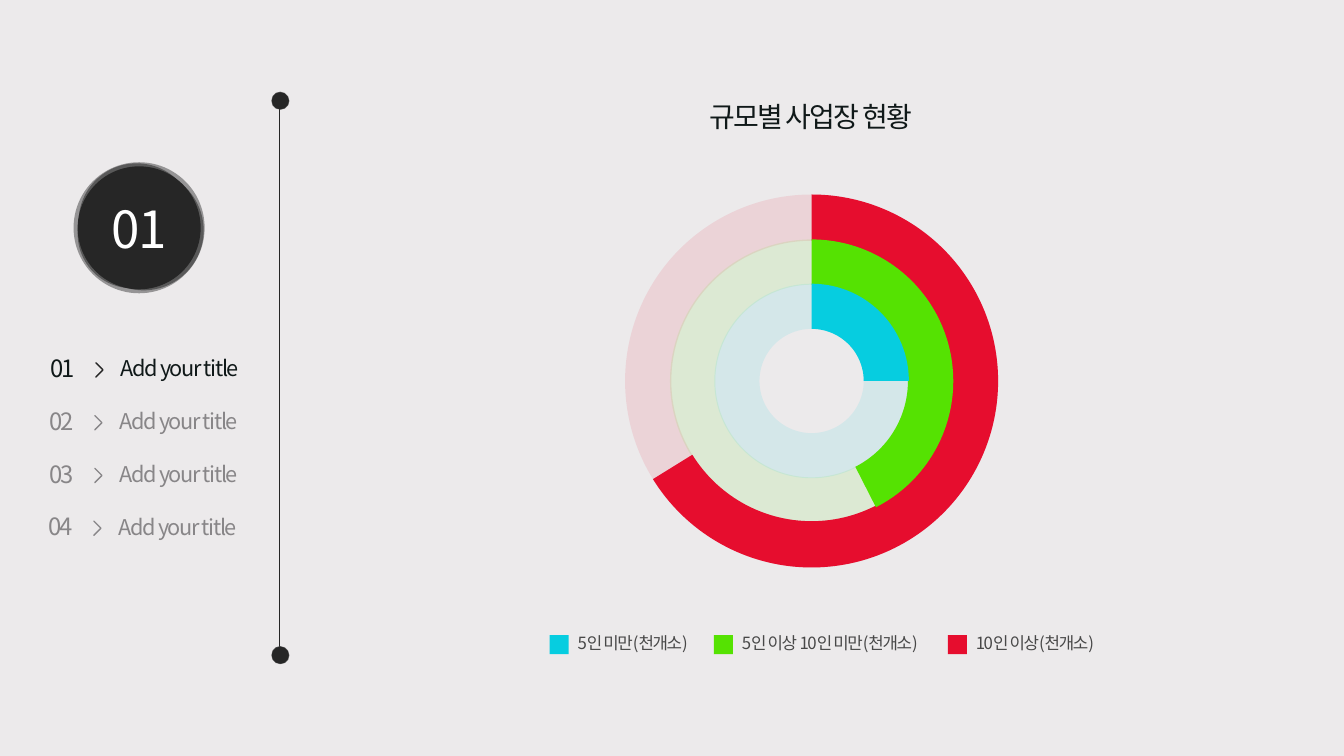
from lxml import etree
from pptx import Presentation
from pptx.dml.color import RGBColor
from pptx.enum.shapes import MSO_CONNECTOR, MSO_SHAPE
from pptx.enum.text import MSO_ANCHOR, PP_ALIGN
from pptx.oxml.ns import qn
from pptx.util import Inches, Pt

STRAIGHT = MSO_CONNECTOR.STRAIGHT
OVAL, RECT, CHEVRON = MSO_SHAPE.OVAL, MSO_SHAPE.RECTANGLE, MSO_SHAPE.HALF_FRAME
DONUT, ARC = MSO_SHAPE.DONUT, MSO_SHAPE.BLOCK_ARC
MIDDLE, LEFT, CENTER = MSO_ANCHOR.MIDDLE, PP_ALIGN.LEFT, PP_ALIGN.CENTER

FONT = "Noto Sans CJK KR"
BACK, DARK, HALO, INK, GREY, LABEL = "ECEAEB", "262626", "404040", "101919", "888688", "484848"
RED, GREEN, BLUE = "E60D2E", "55E202", "06CDE0"
DISC_SIZE = 1.3
HALOS = [(0, 0, 1.3, 50), (0.1, 0.08, 1.19, 70), (0.05, 0.01, 1.15, 70),
         (0.04, 0.17, 1.08, 70), (0.04, 0.04, 1.22, None)]
MENU = ["Add your title"] * 4
RINGS = [(RED, 3.7, 0.124, 148.25), (GREEN, 2.81, 0.16, 63), (BLUE, 1.93, 0.232, 0)]
LEGEND = [(BLUE, "5인 미만(천개소)", 0, 1.38), (GREEN, "5인 이상 10인 미만(천개소)", 1.63, 2.02),
          (RED, "10인 이상(천개소)", 3.95, 1.41)]


def rgb(value):
    """Turn a hex string into a colour."""
    return RGBColor.from_string(value)


def add_alpha(color, percent):
    """Make a colour element partly opaque."""
    etree.SubElement(color, qn("a:alpha"), val=str(percent * 1000))


def add_shape(s, kind, x, y, w, h, fill=None, alpha=None, line=None, adj=()):
    """Add a flat preset shape."""
    sp = s.shapes.add_shape(kind, Inches(x), Inches(y), Inches(w), Inches(h))
    sp.shadow.inherit = False
    for i, value in enumerate(adj):
        sp.adjustments[i] = value
    if fill:
        sp.fill.solid()
        sp.fill.fore_color.rgb = rgb(fill)
        if alpha:
            add_alpha(sp.fill._xPr.find(".//" + qn("a:srgbClr")), alpha)
    else:
        sp.fill.background()
    if line:
        sp.line.color.rgb = rgb(line)
        sp.line.width = Pt(1)
    else:
        sp.line.fill.background()
    return sp


def add_text(s, text, x, y, w, h, size, color, spacing, outline=True, align=LEFT, **layout):
    """Add one vertically centred line of text."""
    tf = s.shapes.add_textbox(Inches(x), Inches(y), Inches(w), Inches(h)).text_frame
    tf.word_wrap, tf.vertical_anchor = True, MIDDLE
    p = tf.paragraphs[0]
    for name, value in {"alignment": align, **layout}.items():
        setattr(p, name, value)
    r = p.add_run()
    r.text = text
    for name, value in {"size": Pt(size), "name": FONT}.items():
        setattr(r.font, name, value)
    r.font.color.rgb = rgb(color)
    props = r._r.get_or_add_rPr()
    props.set("spc", str(int(spacing * 100)))
    etree.SubElement(props, qn("a:ea"), typeface=FONT)
    if outline:
        ln = etree.Element(qn("a:ln"), w=str(Pt(0.75)))
        fill = etree.SubElement(ln, qn("a:solidFill"))
        add_alpha(etree.SubElement(fill, qn("a:srgbClr"), val=color), 30)
        props.insert(0, ln)


def add_disc(s, x, y, size):
    """Draw a dark disc with uneven translucent rims."""
    k = size / DISC_SIZE
    for dx, dy, d, alpha in HALOS:
        color = HALO if alpha else DARK
        add_shape(s, OVAL, x + dx * k, y + dy * k, d * k, d * k, color, alpha)


def add_divider(s, x, y, height):
    """Draw the vertical rule with a knob at each end."""
    line = s.shapes.add_connector(STRAIGHT, Inches(x), Inches(y), Inches(x), Inches(y + height))
    line.line.color.rgb = rgb(DARK)
    line.line.width = Pt(0.5)
    etree.SubElement(line._element.spPr, qn("a:effectLst"))
    for end in (y, y + height):
        add_disc(s, x - 0.08, end - 0.1, 0.18)


def add_badge(s, x, y):
    """Draw the section number on its disc."""
    add_disc(s, x, y, DISC_SIZE)
    add_text(s, "01", x + 0.26, y + 0.45, 0.78, 0.48, 36.5, "FFFFFF", -1.5,
             outline=False, align=CENTER, line_spacing=0.9)


def add_menu(s, x, y, height):
    """List the numbered titles, the first one active."""
    layout = {"line_spacing": 0.9, "space_before": Pt(10)}
    for i, title in enumerate(MENU):
        left = x - (i + 1) // 2 * 0.01
        top = y + i * height / (len(MENU) - 1)
        color = GREY if i else INK
        chevron = add_shape(s, CHEVRON, left + 0.5, top + 0.15, 0.1, 0.1,
                            None if i else DARK, line=GREY if i else DARK, adj=(0, 0))
        chevron.rotation = 135
        add_text(s, f"{i + 1:02d}", left, top, 0.58, 0.4, 17, color, -1.5, **layout)
        add_text(s, title, left + 0.7, top, 1.67, 0.4, 15.5, color, -1, **layout)


def add_rings(s, cx, cy):
    """Draw concentric pale tracks with arcs running clockwise from the top."""
    for color, d, band, _ in RINGS:
        add_shape(s, DONUT, cx - d / 2, cy - d / 2, d, d, color, 10, adj=(band,))
    for color, d, band, end in RINGS:
        add_shape(s, ARC, cx - d / 2, cy - d / 2, d, d, color, adj=(270 * 0.6, end * 0.6, band))


def add_legend(s, x, y):
    """Place the colour keys and their labels."""
    for color, label, dx, width in LEGEND:
        add_shape(s, RECT, x + dx, y + 0.07, 0.19, 0.19, color)
        add_text(s, label, x + dx + 0.18, y, width, 0.3, 12, LABEL, -1)


def build_slide(prs):
    """Compose the slide from its regions."""
    s = prs.slides.add_slide(prs.slide_layouts[6])
    s.background.fill.solid()
    s.background.fill.fore_color.rgb = rgb(BACK)
    add_divider(s, 2.77, 1.01, 5.5)
    add_badge(s, 0.73, 1.61)
    add_menu(s, 0.4, 3.47, 1.57)
    add_text(s, "규모별 사업장 현황", 5.27, 0.93, 5.54, 0.45, 20, INK, -1.3, align=CENTER)
    add_rings(s, 8.05, 3.78)
    add_legend(s, 5.45, 6.23)


prs = Presentation()
prs.slide_width, prs.slide_height = Inches(13.33), Inches(7.5)
build_slide(prs)
prs.save("out.pptx")
